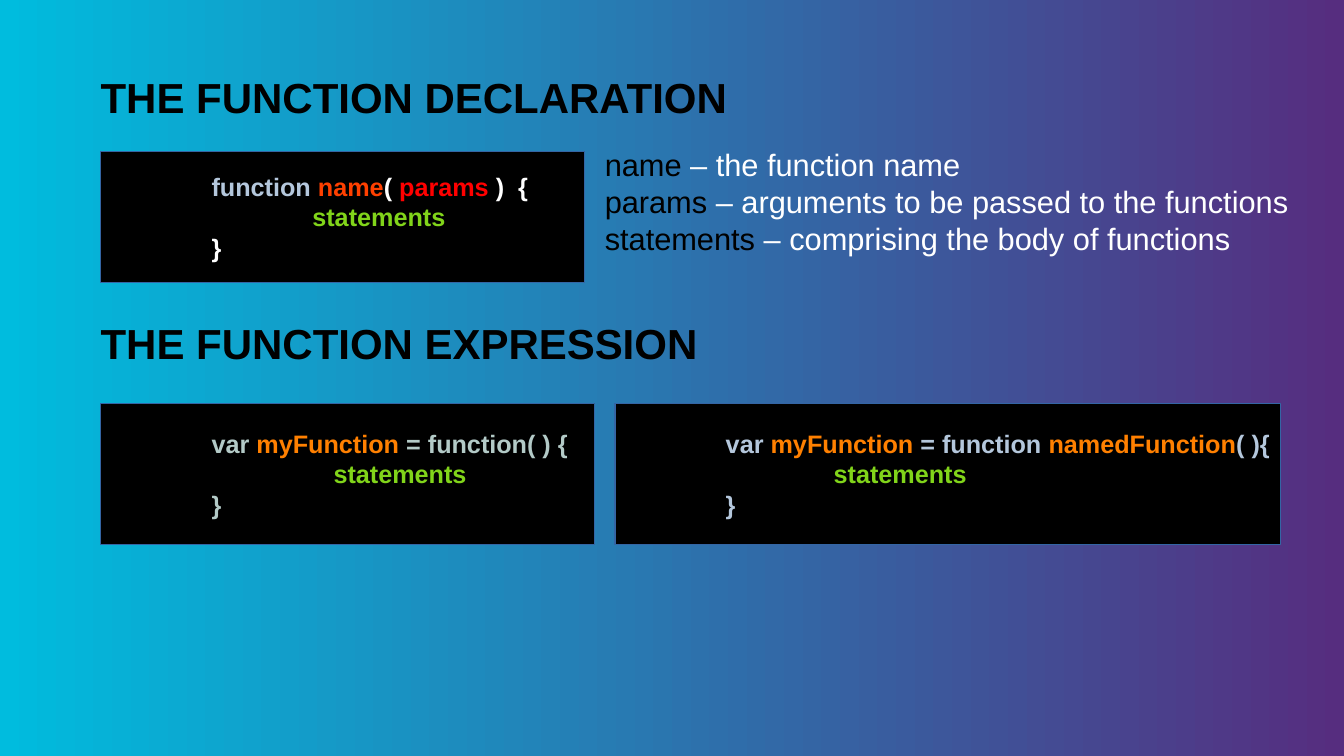
"""Build a slide on function declarations and function expressions."""
import pptx
import pptx.dml.color
import pptx.enum.shapes
import pptx.enum.text
import pptx.util

RGB = pptx.dml.color.RGBColor
BLACK = RGB(0x00, 0x00, 0x00)
WHITE = RGB(0xFF, 0xFF, 0xFF)
PALE = RGB(0xB4, 0xC7, 0xDC)
SAGE = RGB(0xB3, 0xCA, 0xC7)
RED = RGB(0xFF, 0x00, 0x00)
FLAME = RGB(0xFF, 0x40, 0x00)
ORANGE = RGB(0xFF, 0x80, 0x00)
GREEN = RGB(0x81, 0xD4, 0x1A)
EDGE = RGB(0x34, 0x65, 0xA4)
PURPLE = RGB(0x56, 0x2D, 0x7F)
CYAN = RGB(0x00, 0xBC, 0xDE)

PX = 9144
WIDE, HIGH = 1333, 750
TAB = 100

HEADS = [
    ("THE FUNCTION DECLARATION", 66),
    ("THE FUNCTION EXPRESSION", 310),
]

TERMS = [
    ("name", " – the function name"),
    ("params", " – arguments to be passed to the functions"),
    ("statements", " – comprising the body of functions"),
]

CODES = [
    {
        "box": (100, 150, 480, 130),
        "head": [("function ", PALE), ("name", FLAME), ("( ", WHITE),
                 ("params", RED), (" )  {", WHITE)],
        "body": 200,
        "end": WHITE,
    },
    {
        "box": (100, 400, 490, 140),
        "head": [("var ", SAGE), ("myFunction", ORANGE), (" = function( ) {", SAGE)],
        "body": 221,
        "end": SAGE,
    },
    {
        "box": (610, 400, 660, 140),
        "head": [("var ", PALE), ("myFunction", ORANGE), (" = function ", PALE),
                 ("namedFunction", ORANGE), ("( ){", PALE)],
        "body": 207,
        "end": PALE,
    },
]


def scale(box):
    return [n * PX for n in box]


def write(frame, lines, size, bold):
    """Fill a frame with lines, each an indent and its coloured runs."""
    frame.word_wrap = True
    for i, (indent, parts) in enumerate(lines):
        para = frame.paragraphs[0] if i == 0 else frame.add_paragraph()
        para.alignment = pptx.enum.text.PP_ALIGN.LEFT
        para._p.get_or_add_pPr().set("marL", str(indent * PX))
        for text, color in parts:
            run = para.add_run()
            run.text = text
            run.font.name = "Arial"
            run.font.size = pptx.util.Pt(size)
            run.font.bold = bold
            run.font.color.rgb = color


def add_text(slide, box, lines, size, bold):
    label = slide.shapes.add_textbox(*scale(box))
    write(label.text_frame, lines, size, bold)


def add_code(slide, code):
    rect = pptx.enum.shapes.MSO_SHAPE.RECTANGLE
    panel = slide.shapes.add_shape(rect, *scale(code["box"]))
    panel.shadow.inherit = False
    panel.fill.solid()
    panel.fill.fore_color.rgb = BLACK
    panel.line.color.rgb = EDGE
    panel.line.width = pptx.util.Pt(0.75)
    frame = panel.text_frame
    frame.margin_right = 0
    frame.vertical_anchor = pptx.enum.text.MSO_ANCHOR.MIDDLE
    lines = [
        (TAB, code["head"]),
        (code["body"], [("statements", GREEN)]),
        (TAB, [("}", code["end"])]),
    ]
    write(frame, lines, 18, True)


def main():
    deck = pptx.Presentation()
    deck.slide_width, deck.slide_height = scale((WIDE, HIGH))
    slide = deck.slides.add_slide(deck.slide_layouts[6])

    back = slide.background.fill
    back.gradient()
    back.gradient_angle = 180
    for stop, color, place in zip(back.gradient_stops, (PURPLE, CYAN), (0, 1)):
        stop.color.rgb = color
        stop.position = place

    for text, top in HEADS:
        add_text(slide, (90, top, 1110, 44), [(0, [(text, BLACK)])], 30, True)
    for code in CODES:
        add_code(slide, code)
    notes = [(0, [(term, BLACK), (gloss, WHITE)]) for term, gloss in TERMS]
    add_text(slide, (590, 140, 700, 130), notes, 22, False)
    deck.save("out.pptx")


if __name__ == "__main__":
    main()
